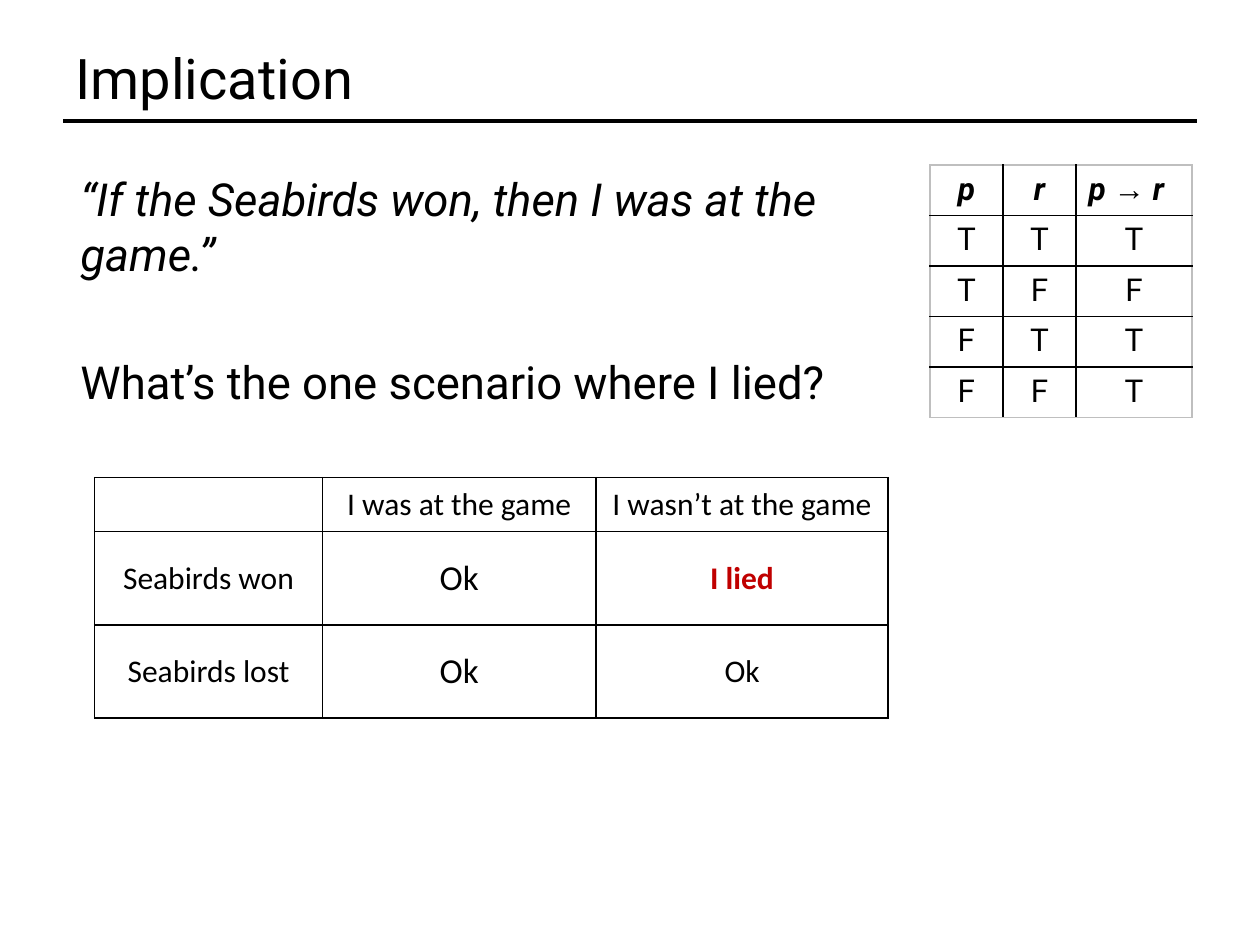
import pptx
import pptx.dml.color
import pptx.enum.shapes
import pptx.enum.text
import pptx.oxml
import pptx.oxml.ns
import pptx.util
from pptx.util import Inches, Pt

ALIGN = pptx.enum.text.PP_ALIGN
ANCHOR = pptx.enum.text.MSO_ANCHOR

THEME = {
    "font": "Roboto", "scenario_font": "Calibri", "arrow_font": "Arial",
    "text": "000000", "alert": "C00000", "border": "000000", "frame": "BFBFBF",
    "title": 32, "body": 26, "cell": 18, "large_cell": 20,
}

TITLE = "Implication"
STATEMENTS = [
    ("“If the Seabirds won, then I was at the game.”", True, 3),
    ("What’s the one scenario where I lied?", False, 42),
]
TRUTH_ROWS = [
    ["p", "r", "p → r"],
    ["T", "T", "T"],
    ["T", "F", "F"],
    ["F", "T", "T"],
    ["F", "F", "T"],
]
SCENARIO_ROWS = [
    ["", "I was at the game", "I wasn’t at the game"],
    ["Seabirds won", "Ok", "I lied"],
    ["Seabirds lost", "Ok", "Ok"],
]


def style_span(span, size, font=THEME["font"], color=THEME["text"], bold=False, italic=False):
    span.font.name = font
    span.font.size = Pt(size)
    span.font.bold = bold
    span.font.italic = italic
    span.font.color.rgb = pptx.dml.color.RGBColor.from_string(color)


def place(box, left, top, width, height):
    box.left, box.top = Inches(left), Inches(top)
    box.width, box.height = Inches(width), Inches(height)


def add_border(cell, side, color):
    properties = cell._tc.get_or_add_tcPr()
    properties.append(pptx.oxml.parse_xml(
        f'<a:{side} {pptx.oxml.ns.nsdecls("a")} w="12700"><a:solidFill>'
        f'<a:srgbClr val="{color}"/></a:solidFill></a:{side}>'))


def add_grid(page, rows, left, top, widths, heights, frame, anchor):
    table = page.shapes.add_table(
        len(rows), len(widths), Inches(left), Inches(top),
        Inches(sum(widths)), Inches(sum(heights))).table
    table.first_row = table.horz_banding = False
    for column, width in zip(table.columns, widths):
        column.width = Inches(width)
    for row, height in zip(table.rows, heights):
        row.height = Inches(height)
    for i, texts in enumerate(rows):
        for j, text in enumerate(texts):
            cell = table.cell(i, j)
            outer_sides = {"lnL": j == 0, "lnR": j == len(widths) - 1,
                           "lnT": i == 0, "lnB": i == len(rows) - 1}
            for side, outer in outer_sides.items():
                add_border(cell, side, frame if outer else THEME["border"])
            cell.fill.background()
            cell.vertical_anchor = anchor
            cell.text_frame.text = text
            cell.text_frame.paragraphs[0].alignment = ALIGN.CENTER
    return table


def add_title(page):
    title = page.shapes.title
    place(title, 0.5, 0.28, 9, 0.66)
    title.text_frame.text = TITLE
    title.text_frame.vertical_anchor = ANCHOR.MIDDLE
    para = title.text_frame.paragraphs[0]
    para.alignment = ALIGN.LEFT
    style_span(para.runs[0], THEME["title"])

    rule = page.shapes.add_connector(
        pptx.enum.shapes.MSO_CONNECTOR.STRAIGHT,
        Inches(0.5), Inches(0.96), Inches(9.5), Inches(0.96))
    rule.line.width = Pt(2)
    rule.line.color.rgb = pptx.dml.color.RGBColor.from_string(THEME["border"])
    rule._element.spPr.append(pptx.oxml.parse_xml(
        f'<a:effectLst {pptx.oxml.ns.nsdecls("a")}/>'))


def add_statements(page):
    frame = page.shapes.add_textbox(
        Inches(0.54), Inches(1.31), Inches(6.29), Inches(4.95)).text_frame
    frame.word_wrap = True
    frame.text = "\n".join(text for text, _, _ in STATEMENTS)
    for para, (_, italic, gap) in zip(frame.paragraphs, STATEMENTS):
        para.space_before = Pt(gap)
        style_span(para.runs[0], THEME["body"], italic=italic)


def add_truth_table(page):
    table = add_grid(page, TRUTH_ROWS, 7.38, 1.31, [0.58, 0.58, 0.92],
                     [0.39] * len(TRUTH_ROWS), THEME["frame"], ANCHOR.TOP)
    formula = table.cell(0, 2).text_frame.paragraphs[0]
    formula.alignment = ALIGN.LEFT
    formula.text = ""
    for part in ("p ", "→", " r"):
        formula.add_run().text = part
    for i, row in enumerate(table.rows):
        for cell in row.cells:
            for span in cell.text_frame.paragraphs[0].runs:
                font = THEME["arrow_font"] if span.text == "→" else THEME["font"]
                style_span(span, THEME["cell"], font, bold=i == 0, italic=i == 0)


def add_scenario_table(page):
    table = add_grid(page, SCENARIO_ROWS, 0.75, 3.79, [1.81, 2.17, 2.32],
                     [0.43, 0.74, 0.74], THEME["border"], ANCHOR.MIDDLE)
    for i, row in enumerate(table.rows):
        for j, cell in enumerate(row.cells):
            lied = cell.text_frame.text == "I lied"
            size = THEME["large_cell"] if i and j == 1 else THEME["cell"]
            color = THEME["alert"] if lied else THEME["text"]
            for span in cell.text_frame.paragraphs[0].runs:
                style_span(span, size, THEME["scenario_font"], color, bold=lied)


def main():
    deck = pptx.Presentation()
    deck.slide_width, deck.slide_height = Inches(10), Inches(7.5)
    page = deck.slides.add_slide(deck.slide_layouts[5])
    add_title(page)
    add_statements(page)
    add_truth_table(page)
    add_scenario_table(page)
    deck.save("out.pptx")


if __name__ == "__main__":
    main()
